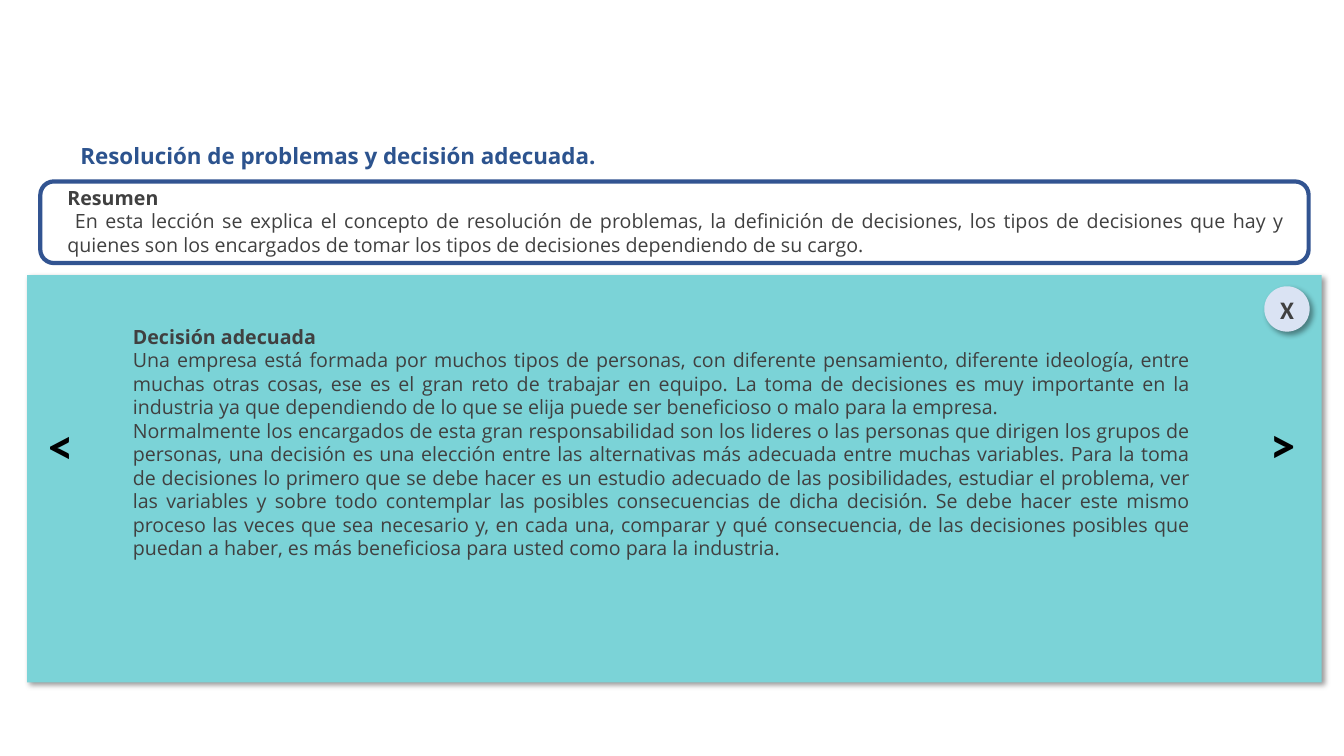
from lxml.etree import SubElement
from pptx import Presentation
from pptx.dml.color import RGBColor
from pptx.enum.shapes import MSO_SHAPE
from pptx.enum.text import MSO_ANCHOR, PP_ALIGN
from pptx.oxml.ns import qn
from pptx.util import Inches, Pt

BLACK = RGBColor(0, 0, 0)
GREY = RGBColor(0x40, 0x40, 0x40)
TITLE_BLUE = RGBColor(0x2C, 0x53, 0x8E)
FRAME_BLUE = RGBColor(0x32, 0x54, 0x91)
TURQUOISE = RGBColor(0x7B, 0xD3, 0xD7)
PALE_BLUE = RGBColor(0xDA, 0xE3, 0xF3)

TITLE = [("Resolución de problemas y decisión adecuada.", True)]
SUMMARY = [
    ("Resumen", True),
    (" En esta lección se explica el concepto de resolución de problemas, la definición de "
     "decisiones, los tipos de decisiones que hay y quienes son los encargados de tomar los "
     "tipos de decisiones dependiendo de su cargo.", False),
]
LESSON = [
    ("Decisión adecuada ", True),
    ("Una empresa está formada por muchos tipos de personas, con diferente pensamiento, "
     "diferente ideología, entre muchas otras cosas, ese es el gran reto de trabajar en equipo. "
     "La toma de decisiones es muy importante en la industria ya que dependiendo de lo que se "
     "elija puede ser beneficioso o malo para la empresa.", False),
    ("Normalmente los encargados de esta gran responsabilidad son los lideres o las personas "
     "que dirigen los grupos de personas, una decisión es una elección entre las alternativas "
     "más adecuada entre muchas variables. Para la toma de decisiones lo primero que se debe "
     "hacer es un estudio adecuado de las posibilidades, estudiar el problema, ver las variables "
     "y sobre todo contemplar las posibles consecuencias de dicha decisión. Se debe hacer este "
     "mismo proceso las veces que sea necesario y, en cada una, comparar y qué consecuencia, de "
     "las decisiones posibles que puedan a haber, es más beneficiosa para usted como para la "
     "industria.", False),
]
CLOSE = [("X", True)]
ARROWS = [("<", 2.85, 54.13), (">", 93.77, 54)]

TITLE_AREA = (5.25, 18.13, 82.52, 5.33)
FRAME_AREA = (3, 24, 94.37, 10.8)
SUMMARY_AREA = (4.28, 23.87, 92.05, 10.8)
PANEL_AREA = (2.03, 36.4, 96.32, 53.87)
LESSON_AREA = (9.15, 42.27, 80.2, 36.8)
CLOSE_AREA = (94.07, 37.87, 3.38, 6)
ARROW_SIZE = (3.38, 9.47)

deck = Presentation()
deck.slide_width, deck.slide_height = Inches(13.33), Inches(7.5)
slide = deck.slides.add_slide(deck.slide_layouts[6])


def place(area):
    sides = (deck.slide_width, deck.slide_height) * 2
    return [round(side * share / 100) for side, share in zip(sides, area)]


def add_figure(kind, area, fill=None):
    figure = slide.shapes.add_shape(kind, *place(area))
    figure.shadow.inherit = False
    figure.line.fill.background()
    if fill is None:
        figure.fill.background()
    else:
        figure.fill.solid()
        figure.fill.fore_color.rgb = fill
    return figure


def cast_shadow(figure):
    effects = figure._element.spPr.find(qn("a:effectLst"))
    shadow = SubElement(effects, qn("a:outerShdw"), blurRad=str(Pt(4)), dist=str(Pt(3)),
                        dir=str(45 * 60000), algn="tl", rotWithShape="0")
    tint = SubElement(shadow, qn("a:srgbClr"), val=str(BLACK))
    SubElement(tint, qn("a:alpha"), val="40000")


def write(frame, paragraphs, font, size, color, align=PP_ALIGN.LEFT, wrap=True):
    frame.word_wrap = wrap
    for index, (words, bold) in enumerate(paragraphs):
        paragraph = frame.add_paragraph() if index else frame.paragraphs[0]
        paragraph.alignment = align
        run = paragraph.add_run()
        run.text = words
        run.font.name, run.font.size, run.font.bold = font, Pt(size), bold
        run.font.color.rgb = color


def add_text(area, *style, **layout):
    write(slide.shapes.add_textbox(*place(area)).text_frame, *style, **layout)


summary_frame = add_figure(MSO_SHAPE.ROUNDED_RECTANGLE, FRAME_AREA)
summary_frame.line.color.rgb = FRAME_BLUE
summary_frame.line.width = Pt(3)
add_text(TITLE_AREA, TITLE, "Open Sans", 16, TITLE_BLUE)
add_text(SUMMARY_AREA, SUMMARY, "Open Sans", 14, GREY, PP_ALIGN.JUSTIFY)

cast_shadow(add_figure(MSO_SHAPE.RECTANGLE, PANEL_AREA, TURQUOISE))
add_text(LESSON_AREA, LESSON, "Open Sans", 14, GREY, PP_ALIGN.JUSTIFY)

close_button = add_figure(MSO_SHAPE.OVAL, CLOSE_AREA, PALE_BLUE)
cast_shadow(close_button)
close_label = close_button.text_frame
close_label.margin_left = close_label.margin_right = 0
close_label.vertical_anchor = MSO_ANCHOR.MIDDLE
write(close_label, CLOSE, "Calibri", 18, GREY, PP_ALIGN.CENTER)

for arrow, left, top in ARROWS:
    add_text((left, top, *ARROW_SIZE), [(arrow, True)], "Calibri", 36, BLACK, wrap=False)

deck.save("out.pptx")
